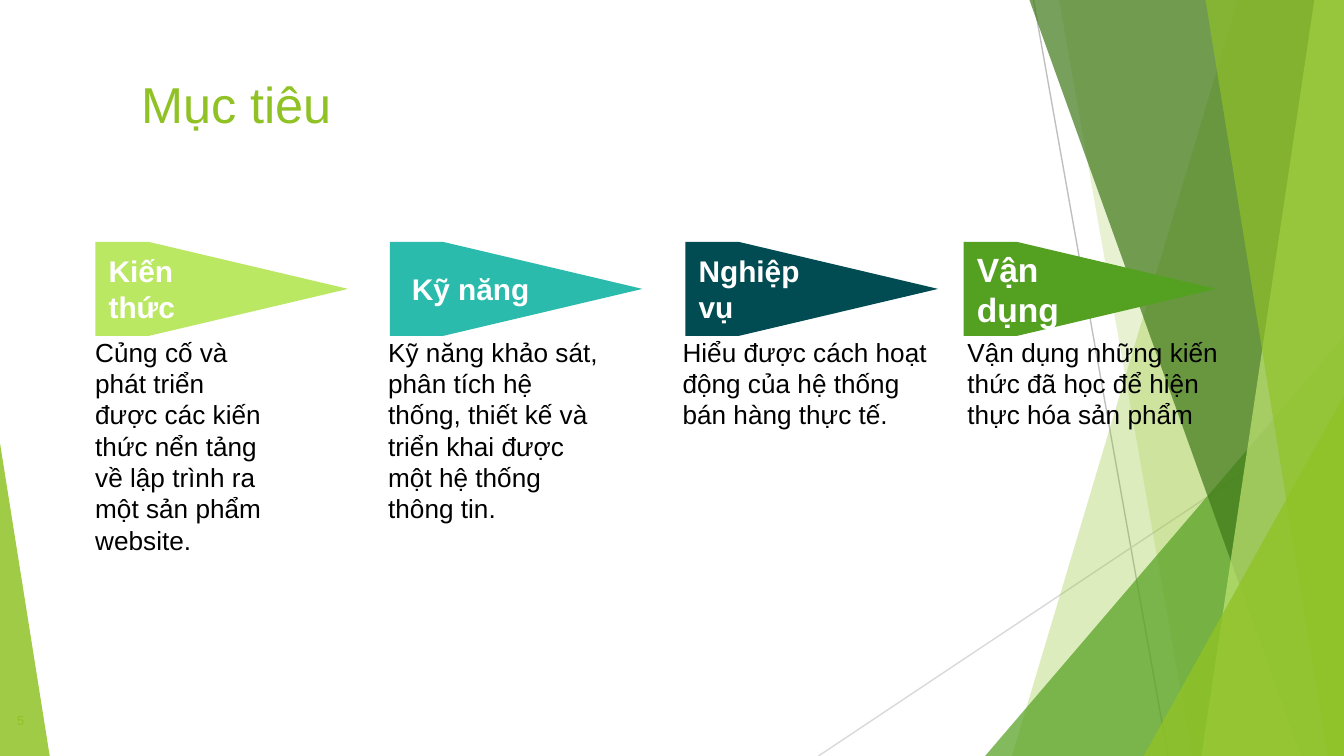
from lxml.etree import SubElement
from pptx import Presentation
from pptx.dml.color import RGBColor
from pptx.enum.shapes import MSO_CONNECTOR, MSO_SHAPE
from pptx.enum.text import MSO_ANCHOR, PP_ALIGN
from pptx.oxml.ns import qn
from pptx.util import Inches, Pt

WHITE = RGBColor(0xFF, 0xFF, 0xFF)
BLACK = RGBColor(0x00, 0x00, 0x00)
SILVER = RGBColor(0xBF, 0xBF, 0xBF)
PALE = RGBColor(0xD9, 0xD9, 0xD9)
LIME = RGBColor(0x90, 0xC2, 0x26)
GREEN = RGBColor(0x54, 0xA0, 0x21)
FOREST = RGBColor(0x3F, 0x78, 0x19)
MINT = RGBColor(0xC0, 0xE4, 0x74)
TEAL = RGBColor(0x00, 0xAE, 0x9D)
NAVY = RGBColor(0x00, 0x4C, 0x52)
LIGHT = RGBColor(0xAB, 0xE3, 0x3F)
WIDTH = 10
HEIGHT = WIDTH * 9 / 16

GOALS = [
    (0.71, 0.61, 1.52, "Kiến thức", 16, PP_ALIGN.LEFT, LIGHT, 81,
     "Củng cố và phát triển được các kiến thức nển tảng về lập trình ra một sản phẩm website."),
    (2.9, 2.79, 1.86, "Kỹ năng", 16, PP_ALIGN.RIGHT, TEAL, 83,
     "Kỹ năng khảo sát, phân tích hệ thống, thiết kế và triển khai được một hệ thống thông tin."),
    (5.1, 4.98, 2.19, "Nghiệp vụ", 16, PP_ALIGN.LEFT, NAVY, 100,
     "Hiểu được cách hoạt động của hệ thống bán hàng thực tế."),
    (7.17, 7.1, 2.19, "Vận dụng", 18, PP_ALIGN.LEFT, GREEN, 100,
     "Vận dụng những kiến thức đã học để hiện thực hóa sản phẩm"),
]


def paint(shape, color, alpha=100):
    """Fill a shape with a colour of the given opacity, without line or shadow."""
    shape.shadow.inherit = False
    shape.line.fill.background()
    shape.fill.solid()
    shape.fill.fore_color.rgb = color
    if alpha < 100:
        tone = shape.fill._xPr.find(qn("a:solidFill"))[0]
        SubElement(tone, qn("a:alpha")).set("val", str(alpha * 1000))


def write(shape, text, size, color, bold=False, align=PP_ALIGN.LEFT,
          anchor=MSO_ANCHOR.TOP, before=0, inset=0.1):
    """Write one paragraph of text in a shape."""
    frame = shape.text_frame
    frame.word_wrap = True
    frame.vertical_anchor = anchor
    frame.margin_left = Inches(0.1)
    frame.margin_right = Inches(inset)
    frame.margin_top = frame.margin_bottom = Inches(0.1)
    para = frame.paragraphs[0]
    para.alignment = align
    para.space_before = Pt(before)
    run = para.add_run()
    run.text = text
    font = run.font
    font.name, font.size, font.bold = "Arial", Pt(size), bold
    font.color.rgb = color


def add_line(slide, start, end, color):
    """Draw a thin straight line."""
    line = slide.shapes.add_connector(
        MSO_CONNECTOR.STRAIGHT, *map(Inches, (*start, *end)))
    line.line.color.rgb = color
    line.line.width = Pt(0.75)
    SubElement(line._element.spPr, qn("a:effectLst"))


def add_band(slide, box, top, foot, color, alpha):
    """Draw a band from a slanted left edge to the right side of the box."""
    left, head, width, height = box
    right, base = left + width, head + height
    points = [(right, head), (right, base), (left + foot, base)]
    pen = slide.shapes.build_freeform(
        Inches(left + top), Inches(head), scale=1.0)
    pen.add_line_segments([(Inches(x), Inches(y)) for x, y in points], close=True)
    paint(pen.convert_to_shape(), color, alpha)


def add_wedge(slide, box, tip, color, alpha):
    """Draw a right triangle whose tip is at the left (0) or right (1)."""
    wedge = slide.shapes.add_shape(MSO_SHAPE.ISOSCELES_TRIANGLE, *map(Inches, box))
    wedge.adjustments[0] = tip
    paint(wedge, color, alpha)


def add_backdrop(slide, box):
    """Draw the overlapping green facets and thin lines."""
    left, top, width, height = box
    right, base = left + width, top + height
    add_line(slide, (left + 7.69, top), (left + 8.69, base), SILVER)
    add_line(slide, (right, top + 3.02), (left + 6.09, base), PALE)
    add_band(slide, box, 9.21, 7.53, LIME, 30)
    add_band(slide, box, 7.88, 8.87, LIME, 20)
    add_wedge(slide, (right - 2.67, base - 3.12, 2.67, 3.12), 1, GREEN, 72)
    add_band(slide, box, 7.66, 9.68, FOREST, 70)
    add_band(slide, box, 9.78, 8.94, MINT, 70)
    add_band(slide, box, 8.97, 9.88, LIME, 65)
    add_wedge(slide, (right - 1.49, base - 2.68, 1.49, 2.68), 1, LIME, 80)
    add_wedge(slide, (left, base - 2.33, 0.37, 2.33), 0, LIME, 85)


def add_title(slide, box, text):
    """Place and format the title placeholder."""
    title = slide.shapes.title
    title.left, title.top, title.width, title.height = map(Inches, box)
    write(title, text, 27, LIME)


def add_goal(slide, box, goal):
    """Draw one goal: a pointed banner over its description."""
    left, top, width, height = box
    _, side, span, name, size, align, color, alpha, text = goal
    note = slide.shapes.add_textbox(
        *map(Inches, (side, top + 0.6, span, height - 0.6)))
    write(note, text, 14, BLACK, before=6, inset=0.12)
    flag = slide.shapes.add_shape(
        MSO_SHAPE.PENTAGON, *map(Inches, (left, top, width, 0.7)))
    flag.adjustments[0] = 2.12
    paint(flag, color, alpha)
    write(flag, name, size, WHITE, True, align, MSO_ANCHOR.MIDDLE)


def add_number(slide, box, text):
    """Write the slide number."""
    note = slide.shapes.add_textbox(*map(Inches, box))
    write(note, text, 7, LIME, anchor=MSO_ANCHOR.MIDDLE)


def main():
    """Build the slide and save it."""
    deck = Presentation()
    deck.slide_width, deck.slide_height = Inches(WIDTH), Inches(HEIGHT)
    slide = deck.slides.add_slide(deck.slide_layouts[5])
    add_backdrop(slide, (0, 0, WIDTH, HEIGHT))
    add_title(slide, (0.95, 0.44, 8.01, 0.7), "Mục tiêu")
    for goal in GOALS:
        add_goal(slide, (goal[0], 1.8, 1.88, 3.83), goal)
    add_number(slide, (0.03, 5.21, 0.5, 0.3), "5")
    deck.save("out.pptx")


if __name__ == "__main__":
    main()
